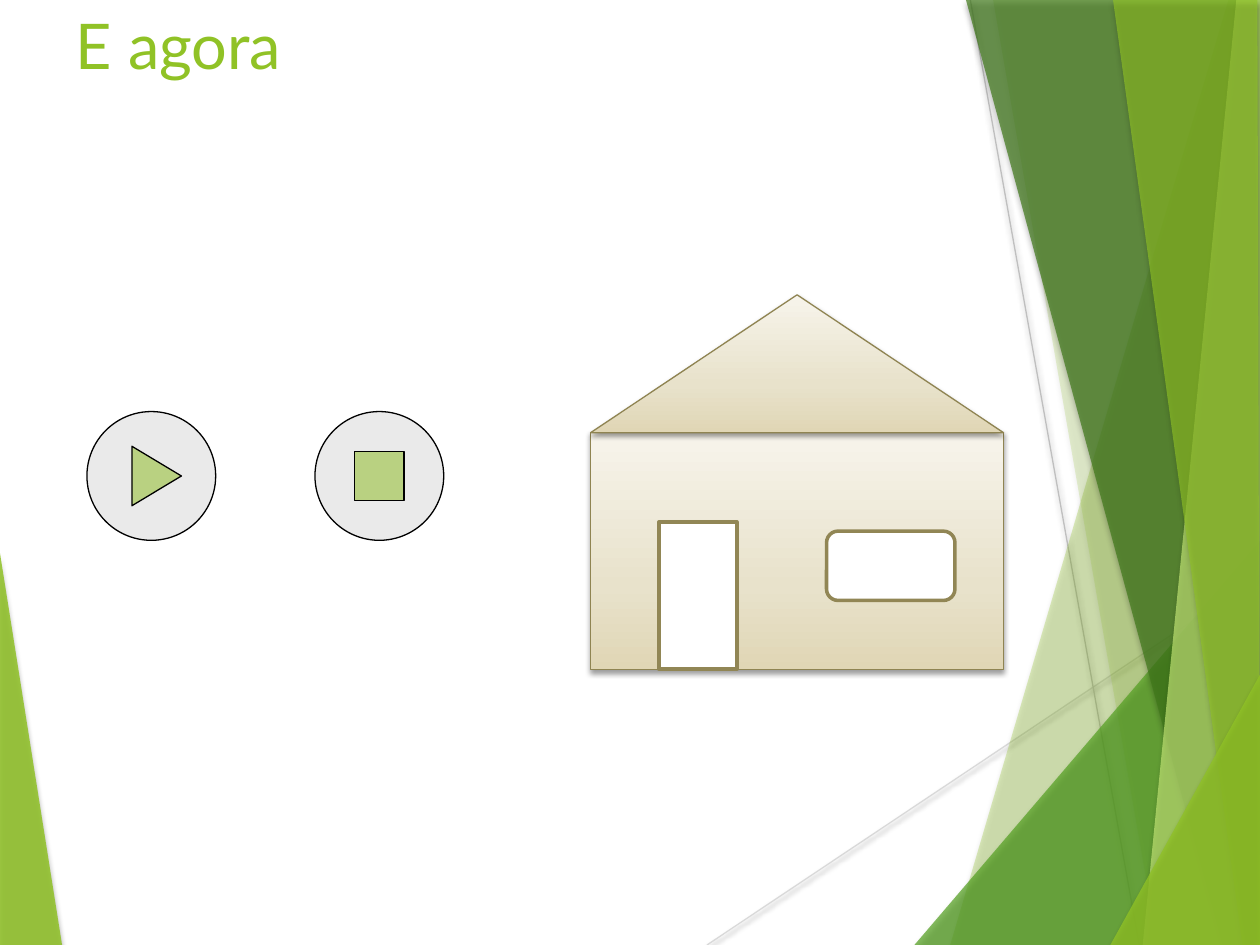
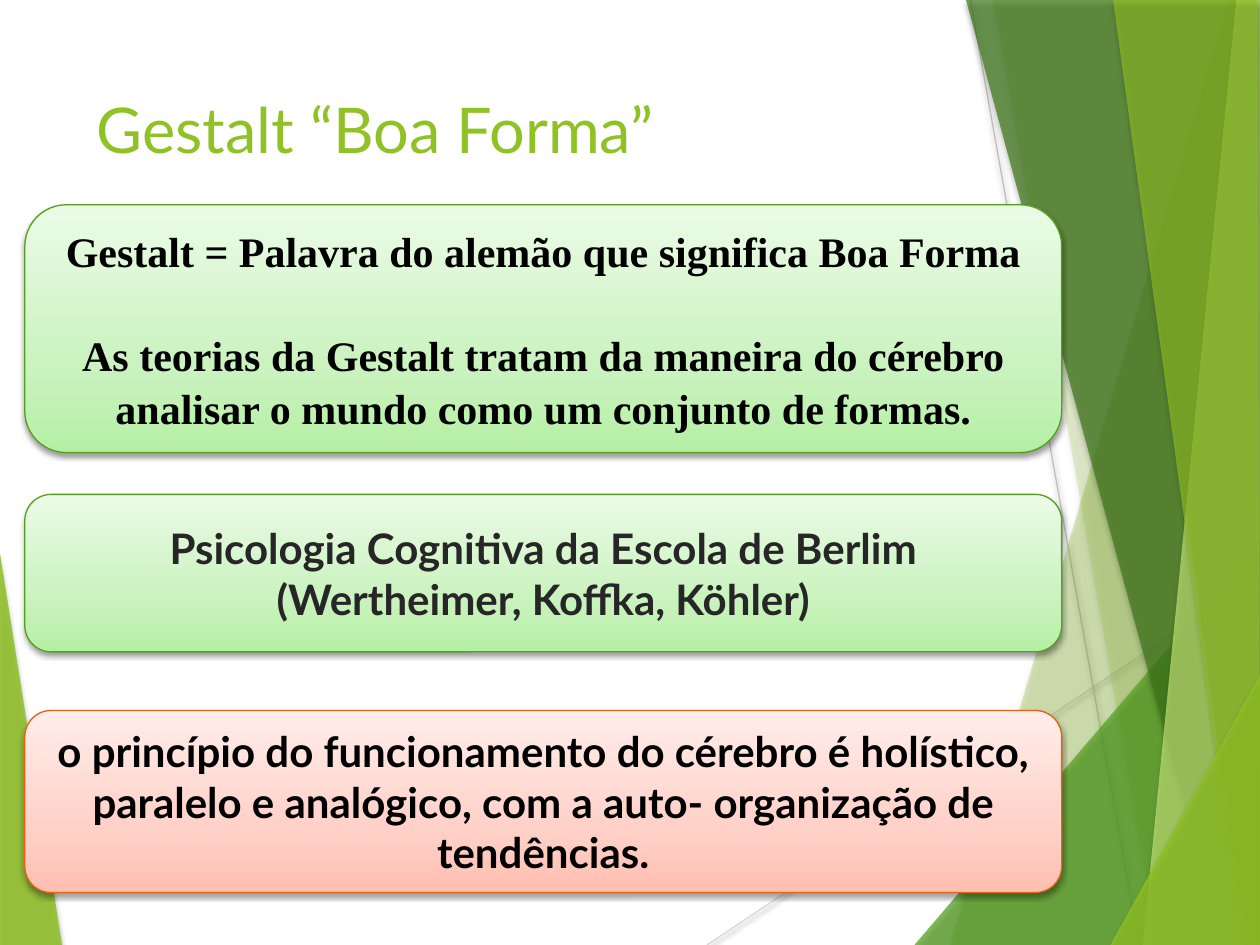
from lxml import etree
from pptx import Presentation
from pptx.dml.color import RGBColor
from pptx.enum import shapes, text
from pptx.oxml import ns, parse_xml
from pptx.util import Pt

WIDTH, HEIGHT = 720, 540
LIME, GREEN, DARK_GREEN, PALE_GREEN = "90C226", "54A021", "3F7819", "C0E474"
BLACK, WHITE = "000000", "FFFFFF"
FONT = "Lato"
SAND = ("E0D6B5", "E8E2CB", "F7F4EB")
MINT = ("B5EFA4", "CBF3C0", "EBFBE6")
CORAL = ("FFBFB1", "FFD1C8", "FFEDEA")
# Shadows: opacity in percent, blur and distance in points
FACET_SHADOW = (35, 3, 2)
OBJECT_SHADOW = (38, 3.1, 1.6)

# Facets of the background: colour, opacity in percent, corners
FACETS = [
    (LIME, 85, [(0, 316), (35.5, 540), (0, 540)]),
    (LIME, 30, [(702, 0), (543, 540), (720, 540), (720, 0)]),
    (LIME, 20, [(567.5, 0), (661.5, 540), (720, 540), (720, 0)]),
    (GREEN, 72, [(522.5, 540), (720, 309), (720, 540)]),
    (DARK_GREEN, 70, [(552, 0), (698.5, 540), (720, 540), (720, 0)]),
    (PALE_GREEN, 70, [(706.5, 0), (653, 540), (720, 540), (720, 0)]),
    (LIME, 65, [(636, 0), (710, 540), (720, 540), (718.5, 0)]),
    (LIME, 80, [(634.5, 540), (720, 385.5), (720, 540)]),
]
RAYS = [("D9D9D9", (404, 540), (720, 329)), ("BFBFBF", (554.5, 0), (651, 540))]


# Formatting helpers
def paint(colour_format, hex_colour):
    colour_format.rgb = RGBColor.from_string(hex_colour)


def properties(shape):
    return shape.element.find(ns.qn("p:spPr"))


def set_effects(shape, shadow=None):
    """Call after fill and line, so that the effects come last."""
    effects = etree.SubElement(properties(shape), ns.qn("a:effectLst"))
    if shadow:
        opacity, blur, distance = shadow
        effects.append(parse_xml(
            f'<a:outerShdw {ns.nsdecls("a")} blurRad="{Pt(blur)}" dist="{Pt(distance)}" '
            f'dir="5400000" rotWithShape="0"><a:srgbClr val="{BLACK}">'
            f'<a:alpha val="{opacity * 1000}"/></a:srgbClr></a:outerShdw>'))


def set_opacity(shape, percent):
    colour = properties(shape).find(f'{ns.qn("a:solidFill")}/{ns.qn("a:srgbClr")}')
    etree.SubElement(colour, ns.qn("a:alpha"), val=str(percent * 1000))


def set_gradient(shape, colours):
    """Three stops, running from the bottom edge to the top."""
    stops = "".join(f'<a:gs pos="{position}"><a:srgbClr val="{colour}"/></a:gs>'
                    for position, colour in zip((0, 35000, 100000), colours))
    shape.fill.background()
    blank = properties(shape).find(ns.qn("a:noFill"))
    blank.getparent().replace(blank, parse_xml(
        f'<a:gradFill {ns.nsdecls("a")} rotWithShape="1"><a:gsLst>{stops}</a:gsLst>'
        '<a:lin ang="16200000" scaled="0"/></a:gradFill>'))


def add_figure(slide, kind, box, fill, line, weight=0.75, shadow=None):
    figure = slide.shapes.add_shape(kind, *map(Pt, box))
    if isinstance(fill, str):
        figure.fill.solid()
        paint(figure.fill.fore_color, fill)
    else:
        set_gradient(figure, fill)
    paint(figure.line.color, line)
    figure.line.width = Pt(weight)
    set_effects(figure, shadow)
    return figure


def add_run(paragraph, words, size, colour, font=FONT, bold=False):
    run = paragraph.add_run()
    run.text = words
    run.font.name, run.font.size, run.font.bold = font, Pt(size), bold
    paint(run.font.color, colour)


# Shared background, moved behind the layout's placeholders
def decorate(layout, slide):
    def add_facet(colour, opacity, corners):
        start, *others = [tuple(map(Pt, corner)) for corner in corners]
        outline = slide.shapes.build_freeform(*start)
        outline.add_line_segments(others, close=True)
        facet = outline.convert_to_shape()
        facet.fill.solid()
        paint(facet.fill.fore_color, colour)
        set_opacity(facet, opacity)
        facet.line.fill.background()
        set_effects(facet, FACET_SHADOW)
        return facet

    def add_ray(colour, start, end):
        ray = slide.shapes.add_connector(
            shapes.MSO_CONNECTOR.STRAIGHT, *map(Pt, start + end))
        paint(ray.line.color, colour)
        ray.line.width = Pt(0.75)
        set_effects(ray, OBJECT_SHADOW)
        return ray

    left_facet, *right_facets = FACETS
    parts = [add_facet(*left_facet)]
    parts += [add_ray(*ray) for ray in RAYS]
    parts += [add_facet(*facet) for facet in right_facets]
    first_placeholder = layout.placeholders[0].element
    for part in parts:
        first_placeholder.addprevious(part.element)


def set_title(slide, words, box):
    title = slide.shapes.title
    title.left, title.top, title.width, title.height = map(Pt, box)
    frame = title.text_frame
    frame.auto_size = text.MSO_AUTO_SIZE.NONE
    frame.vertical_anchor = text.MSO_ANCHOR.TOP
    heading = frame.paragraphs[0]
    heading.alignment = text.PP_ALIGN.LEFT
    add_run(heading, words, 36, LIME)


# Parts of the slide with the house
def draw_house(slide, box):
    x, y, width, height = box
    roof_height = 78.8
    kinds = shapes.MSO_SHAPE
    outline, frame = "8F8452", "918655"
    add_figure(slide, kinds.RECTANGLE, (x, y + roof_height, width, height - roof_height),
               SAND, outline, shadow=OBJECT_SHADOW)
    add_figure(slide, kinds.ISOSCELES_TRIANGLE, (x, y, width, roof_height),
               SAND, outline, shadow=OBJECT_SHADOW)
    door_height = 84.2
    add_figure(slide, kinds.RECTANGLE, (x + 39, y + height - door_height, 44.6, door_height),
               WHITE, frame, 2)
    add_figure(slide, kinds.ROUNDED_RECTANGLE, (x + 134.8, y + 135, 73.4, 39.6),
               WHITE, frame, 2)


def draw_button(slide, box, symbol, symbol_size, shift=0, rotation=0):
    x, y, width, height = box
    symbol_width, symbol_height = symbol_size
    add_figure(slide, shapes.MSO_SHAPE.OVAL, box, "EAEAEA", BLACK)
    symbol_box = (x + (width - symbol_width) / 2 + shift,
                  y + (height - symbol_height) / 2, symbol_width, symbol_height)
    icon = add_figure(slide, symbol, symbol_box, "B9D181", BLACK)
    icon.rotation = rotation


def build_house_slide(slide):
    set_title(slide, "E agora", (36, 0, 648, 61.2))
    draw_house(slide, (337.5, 168.5, 236, 214))
    play, stop = [(x, 235.2, 73.6, 73.6) for x in (49.7, 180)]
    draw_button(slide, play, shapes.MSO_SHAPE.ISOSCELES_TRIANGLE, (34, 28.3),
                shift=3, rotation=90)
    draw_button(slide, stop, shapes.MSO_SHAPE.RECTANGLE, (28.3, 28.3))


# Parts of the slide with the text panels
def draw_panel(slide, box, fill, line, lines, colour=BLACK, font=FONT, roundness=0.167,
               anchor=text.MSO_ANCHOR.MIDDLE, spacing=1.0, gap=0):
    panel = add_figure(slide, shapes.MSO_SHAPE.ROUNDED_RECTANGLE, box, fill, line,
                       shadow=OBJECT_SHADOW)
    panel.adjustments[0] = roundness
    frame = panel.text_frame
    frame.word_wrap = True
    frame.vertical_anchor = anchor
    for number, words in enumerate(lines):
        paragraph = frame.add_paragraph() if number else frame.paragraphs[0]
        paragraph.alignment = text.PP_ALIGN.CENTER
        paragraph.line_spacing = spacing
        if number and gap:
            paragraph.space_before = Pt(gap)
        add_run(paragraph, words, 24, colour, font, bold=True)


def build_gestalt_slide(slide):
    set_title(slide, "Gestalt “Boa Forma”", (48, 48, 500, 104))
    meaning, school, principle = [
        (14.2, top, 592.5, height) for top, height in ((117, 141.6), (282.5, 90), (406, 104))]
    draw_panel(slide, meaning, MINT, "52A01D",
               ["Gestalt = Palavra do alemão que significa Boa Forma",
                "As teorias da Gestalt tratam da maneira do cérebro analisar o mundo "
                "como um conjunto de formas."],
               font="Times New Roman", anchor=text.MSO_ANCHOR.TOP, spacing=1.05, gap=29)
    draw_panel(slide, school, MINT, "52A01D",
               ["Psicologia Cognitiva da Escola de Berlim", "(Wertheimer, Koffka, Köhler)"],
               colour="262626")
    draw_panel(slide, principle, CORAL, "E76312",
               ["o princípio do funcionamento do cérebro é holístico, paralelo e analógico, "
                "com a auto- organização de tendências."], roundness=0.144)


def main():
    deck = Presentation()
    deck.slide_width, deck.slide_height = Pt(WIDTH), Pt(HEIGHT)
    layout = deck.slide_layouts.get_by_name("Title Only")
    house_slide, gestalt_slide = [deck.slides.add_slide(layout) for _ in range(2)]
    decorate(layout, house_slide)
    build_house_slide(house_slide)
    build_gestalt_slide(gestalt_slide)
    deck.save("out.pptx")


if __name__ == "__main__":
    main()
